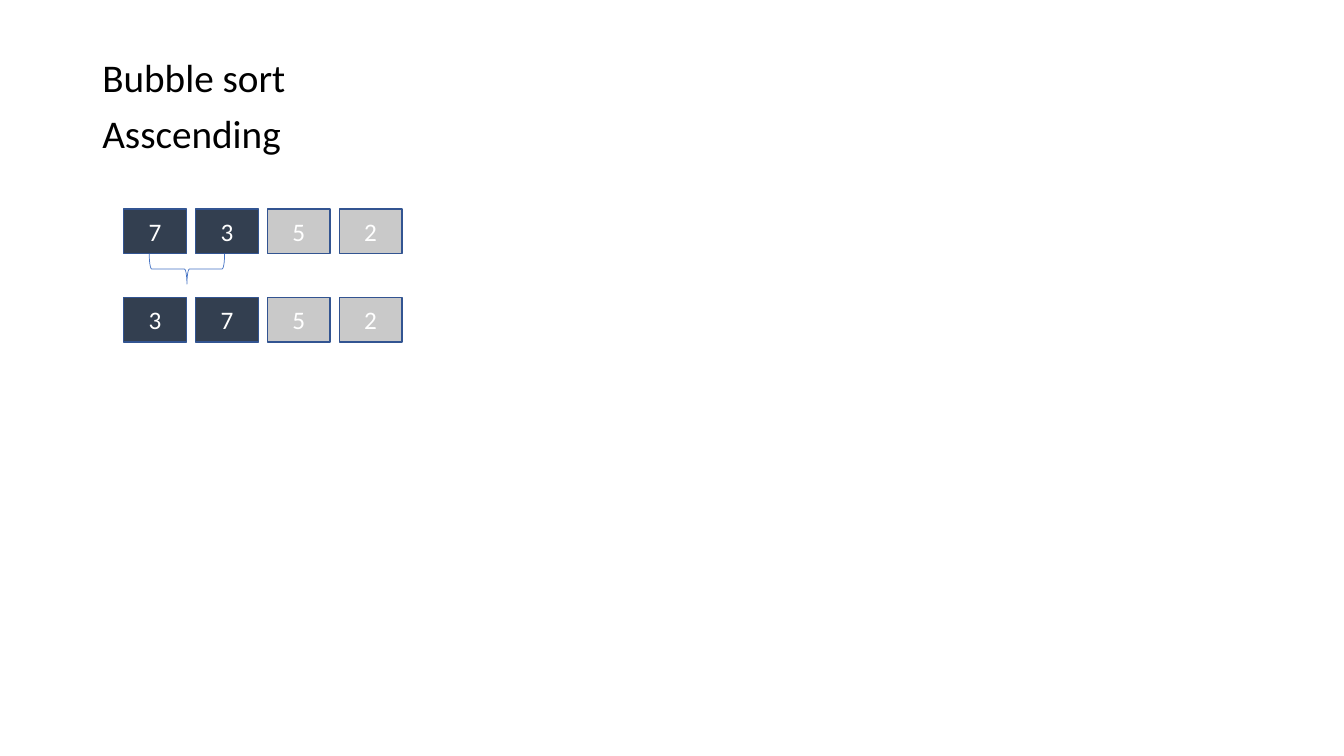
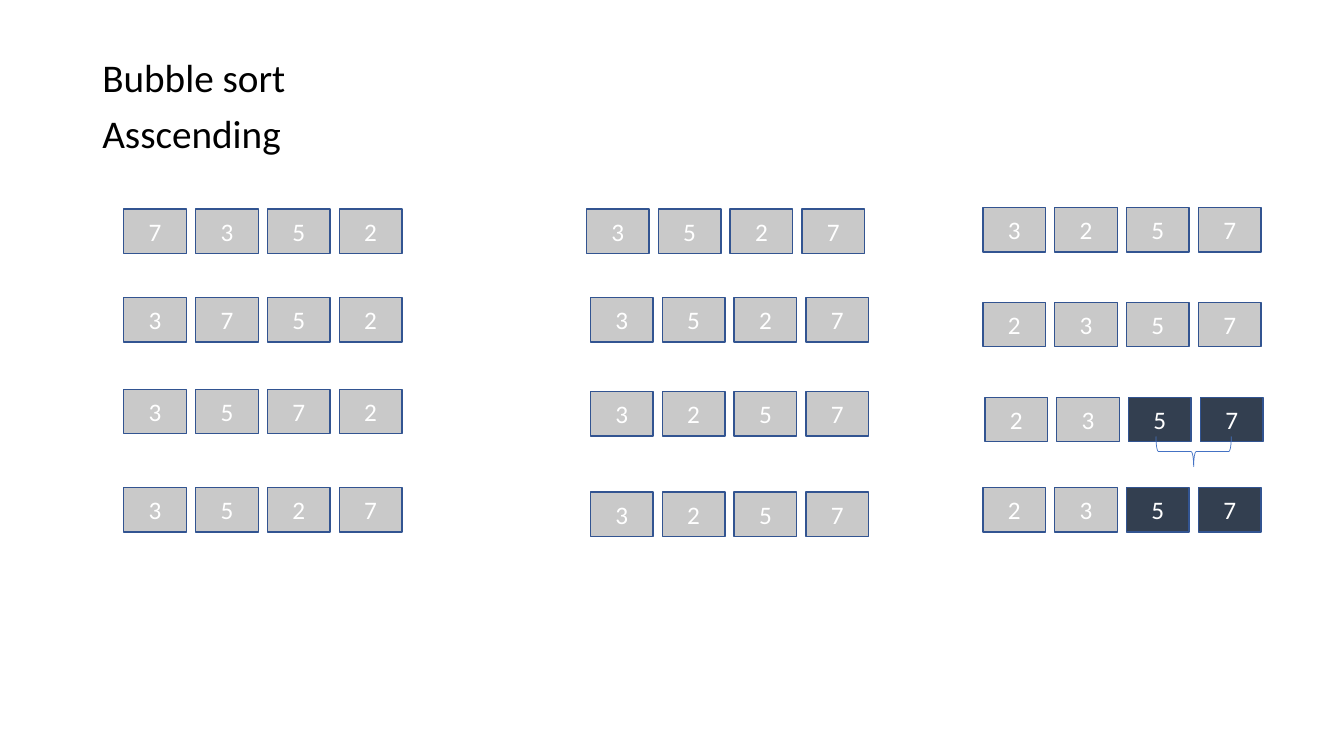
from pptx import Presentation
from pptx.dml.color import RGBColor
from pptx.enum.shapes import MSO_SHAPE as Preset
from pptx.enum.text import MSO_ANCHOR as Anchor, PP_ALIGN as Align
from pptx.util import Cm, Pt

BLACK = RGBColor(0x00, 0x00, 0x00)
WHITE = RGBColor(0xFF, 0xFF, 0xFF)
ACTIVE = RGBColor(0x33, 0x3F, 0x50)
IDLE = RGBColor(0xC9, 0xC9, 0xC9)
OUTLINE = RGBColor(0x32, 0x54, 0x91)
BRACE = RGBColor(0x44, 0x72, 0xC4)

FONT = "Calibri"
CELL_WIDTH, CELL_HEIGHT, CELL_PITCH = 1.58, 1.12, 1.81
BRACE_DEPTH, BRACE_SPAN = 0.76, 1.9

FIRST_STEP = [
    (3.12, 5.27, "7352", (0, 1)),
    (3.12, 7.5, "3752", (0, 1)),
]

ALL_PASSES = [
    (3.12, 5.27, "7352", ()),
    (3.12, 7.5, "3752", ()),
    (3.12, 9.81, "3572", ()),
    (3.12, 12.29, "3527", ()),
    (14.78, 5.27, "3527", ()),
    (14.88, 7.5, "3527", ()),
    (14.88, 9.87, "3257", ()),
    (14.88, 12.4, "3257", ()),
    (24.77, 5.23, "3257", ()),
    (24.77, 7.62, "2357", ()),
    (24.82, 10.01, "2357", (2, 3)),
    (24.77, 12.29, "2357", (2, 3)),
]


class SortDeck:
    def __init__(self):
        self.presentation = Presentation()
        self.presentation.slide_width = Cm(33.87)
        self.presentation.slide_height = Cm(19.05)
        self.slide = None

    def add_slide(self):
        self.slide = self.presentation.slides.add_slide(
            self.presentation.slide_layouts[6])

    def heading(self, *lines):
        box = self.slide.shapes.add_textbox(
            Cm(2.33), Cm(1.35), Cm(29.21), Cm(15.8))
        frame = box.text_frame
        frame.word_wrap = True
        frame.text = "\n".join(lines)
        for paragraph in frame.paragraphs:
            paragraph.line_spacing = 0.9
            paragraph.space_before = Pt(10)
            self.style_font(paragraph, 28, BLACK)

    def style_font(self, paragraph, size, color):
        paragraph.font.name = FONT
        paragraph.font.size = Pt(size)
        paragraph.font.color.rgb = color

    def cell(self, left, top, digit, fill):
        cell = self.slide.shapes.add_shape(
            Preset.RECTANGLE, Cm(left), Cm(top), Cm(CELL_WIDTH), Cm(CELL_HEIGHT))
        cell.shadow.inherit = False
        cell.fill.solid()
        cell.fill.fore_color.rgb = fill
        cell.line.color.rgb = OUTLINE
        cell.line.width = Pt(1)
        frame = cell.text_frame
        frame.text = digit
        frame.vertical_anchor = Anchor.MIDDLE
        paragraph = frame.paragraphs[0]
        paragraph.alignment = Align.CENTER
        self.style_font(paragraph, 18, WHITE)

    def array(self, left, top, digits, compared):
        for index, digit in enumerate(digits):
            fill = ACTIVE if index in compared else IDLE
            self.cell(left + index * CELL_PITCH, top, digit, fill)

    def arrays(self, steps):
        for step in steps:
            self.array(*step)

    def brace(self, center_x, center_y):
        brace = self.slide.shapes.add_shape(
            Preset.RIGHT_BRACE,
            Cm(center_x - BRACE_DEPTH / 2), Cm(center_y - BRACE_SPAN / 2),
            Cm(BRACE_DEPTH), Cm(BRACE_SPAN))
        brace.rotation = 90
        brace.shadow.inherit = False
        brace.fill.background()
        brace.line.color.rgb = BRACE
        brace.line.width = Pt(0.5)


def main():
    deck = SortDeck()
    for steps, brace_center in (
        (FIRST_STEP, (4.71, 6.78)),
        (ALL_PASSES, (30.08, 11.38)),
    ):
        deck.add_slide()
        deck.heading("Bubble sort", "Asscending")
        deck.arrays(steps)
        deck.brace(*brace_center)
    deck.presentation.save("out.pptx")


if __name__ == "__main__":
    main()
